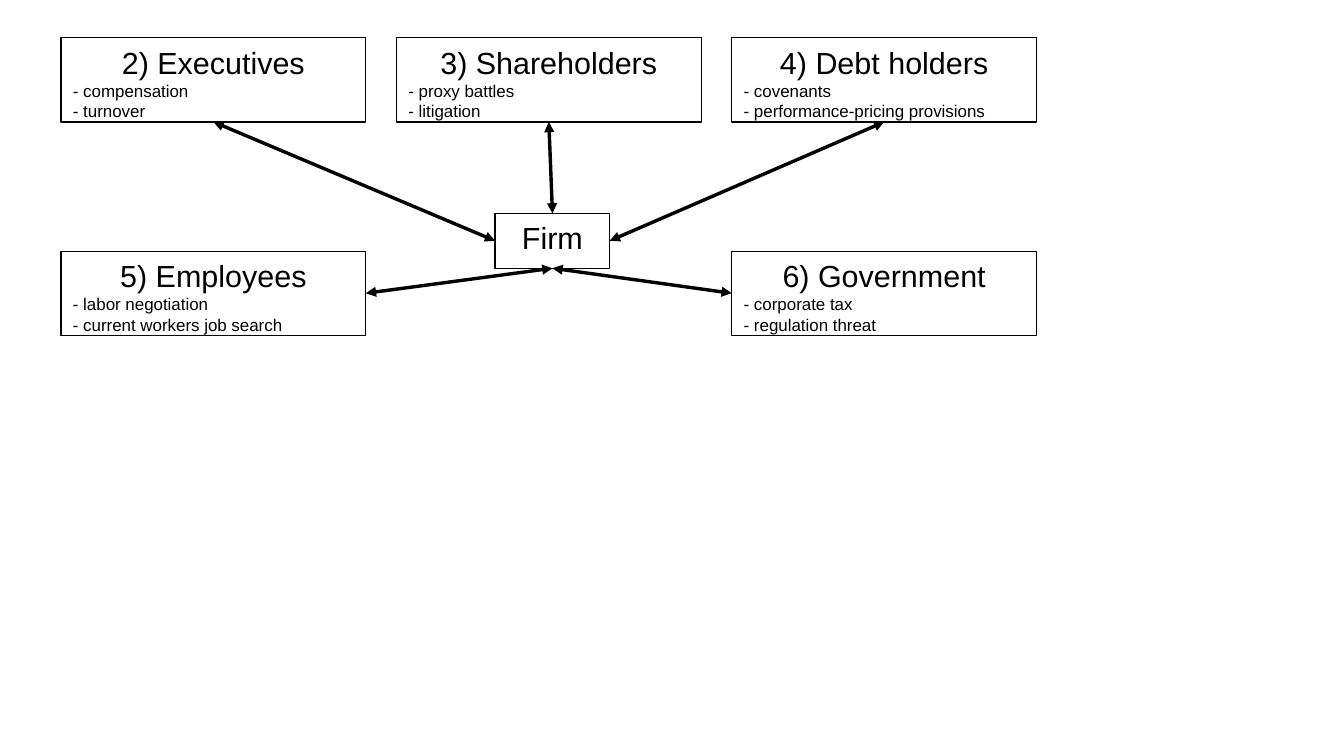
from dataclasses import dataclass

from pptx import Presentation
from pptx.dml.color import RGBColor
from pptx.enum.shapes import MSO_CONNECTOR as Link, MSO_SHAPE as Preset
from pptx.enum.text import MSO_ANCHOR as Anchor, MSO_AUTO_SIZE as Fit, PP_ALIGN as Align
from pptx.oxml.ns import qn
from pptx.shapes.autoshape import Shape
from pptx.shapes.shapetree import SlideShapes
from pptx.util import Inches, Pt
from lxml.etree import SubElement

COLOURS = {"ink": "000000"}
INK = RGBColor.from_string(COLOURS["ink"])
CELL = 0.25
FIRST_COLUMN, COLUMN_STEP = 2, 11
FIRST_ROW, ROW_STEP = 1.24, 7
TOP, LEFT, BOTTOM, RIGHT = range(4)
FRAME_FORMAT = {
    "word_wrap": True,
    "auto_size": Fit.SHAPE_TO_FIT_TEXT,
    "vertical_anchor": Anchor.TOP,
    "margin_left": Inches(0.1),
    "margin_right": Inches(0.1),
    "margin_top": Inches(0.05),
    "margin_bottom": Inches(0.05),
}
TITLE_FORMAT = {"name": "Arial", "size": Pt(18)}
DETAIL_FORMAT = {"name": "Arial", "size": Pt(10)}


@dataclass(frozen=True)
class Party:
    title: str
    column: float
    row: float
    details: tuple[str, ...] = ()
    columns: float = 10
    rows: float = 2.76


@dataclass(frozen=True)
class Tie:
    party: str
    party_side: int
    firm_side: int


def stakeholder(title: str, column: int, row: int, *details: str) -> Party:
    return Party(title, FIRST_COLUMN + column * COLUMN_STEP, FIRST_ROW + row * ROW_STEP, details)


PARTIES = (
    stakeholder("5) Employees", 0, 1, "- labor negotiation", "- current workers job search"),
    stakeholder("2) Executives", 0, 0, "- compensation", "- turnover"),
    stakeholder("4) Debt holders", 2, 0, "- covenants", "- performance-pricing provisions"),
    stakeholder("6) Government", 2, 1, "- corporate tax", "- regulation threat"),
    stakeholder("3) Shareholders", 1, 0, "- proxy battles", "- litigation"),
    Party("Firm", 16.24, 7, columns=3.76, rows=1.8),
)
TIES = (
    Tie("5) Employees", RIGHT, BOTTOM),
    Tie("2) Executives", BOTTOM, LEFT),
    Tie("4) Debt holders", BOTTOM, RIGHT),
    Tie("6) Government", LEFT, BOTTOM),
    Tie("3) Shareholders", BOTTOM, TOP),
)


def apply_format(target: object, values: dict) -> None:
    for name, value in values.items():
        setattr(target, name, value)


def draw_party(shapes: SlideShapes, party: Party) -> Shape:
    lengths = (party.column, party.row, party.columns, party.rows)
    box = shapes.add_shape(Preset.RECTANGLE, *(Inches(length * CELL) for length in lengths))
    box.shadow.inherit = False
    box.fill.background()
    box.line.color.rgb = INK
    box.line.width = Pt(0)
    frame = box.text_frame
    apply_format(frame, FRAME_FORMAT)
    for index, text in enumerate((party.title, *party.details)):
        para = frame.add_paragraph() if index else frame.paragraphs[0]
        para.alignment = Align.LEFT if index else Align.CENTER
        span = para.add_run()
        span.text = text
        apply_format(span.font, DETAIL_FORMAT if index else TITLE_FORMAT)
        span.font.color.rgb = INK
    return box


def draw_tie(shapes: SlideShapes, tie: Tie, boxes: dict[str, Shape]) -> None:
    arrow = shapes.add_connector(Link.STRAIGHT, 0, 0, 0, 0)
    arrow.begin_connect(boxes[tie.party], tie.party_side)
    arrow.end_connect(boxes["Firm"], tie.firm_side)
    arrow.line.color.rgb = INK
    arrow.line.width = Pt(0)
    outline = arrow.line._get_or_add_ln()
    for end in ("a:headEnd", "a:tailEnd"):
        SubElement(outline, qn(end), type="triangle")
    SubElement(arrow._element.spPr, qn("a:effectLst"))


def main() -> None:
    deck = Presentation()
    deck.slide_width, deck.slide_height = Inches(11.02), Inches(6.2)
    page = deck.slides.add_slide(deck.slide_layouts[6])
    boxes = {party.title: draw_party(page.shapes, party) for party in PARTIES}
    for tie in TIES:
        draw_tie(page.shapes, tie, boxes)
    deck.save("out.pptx")


if __name__ == "__main__":
    main()
